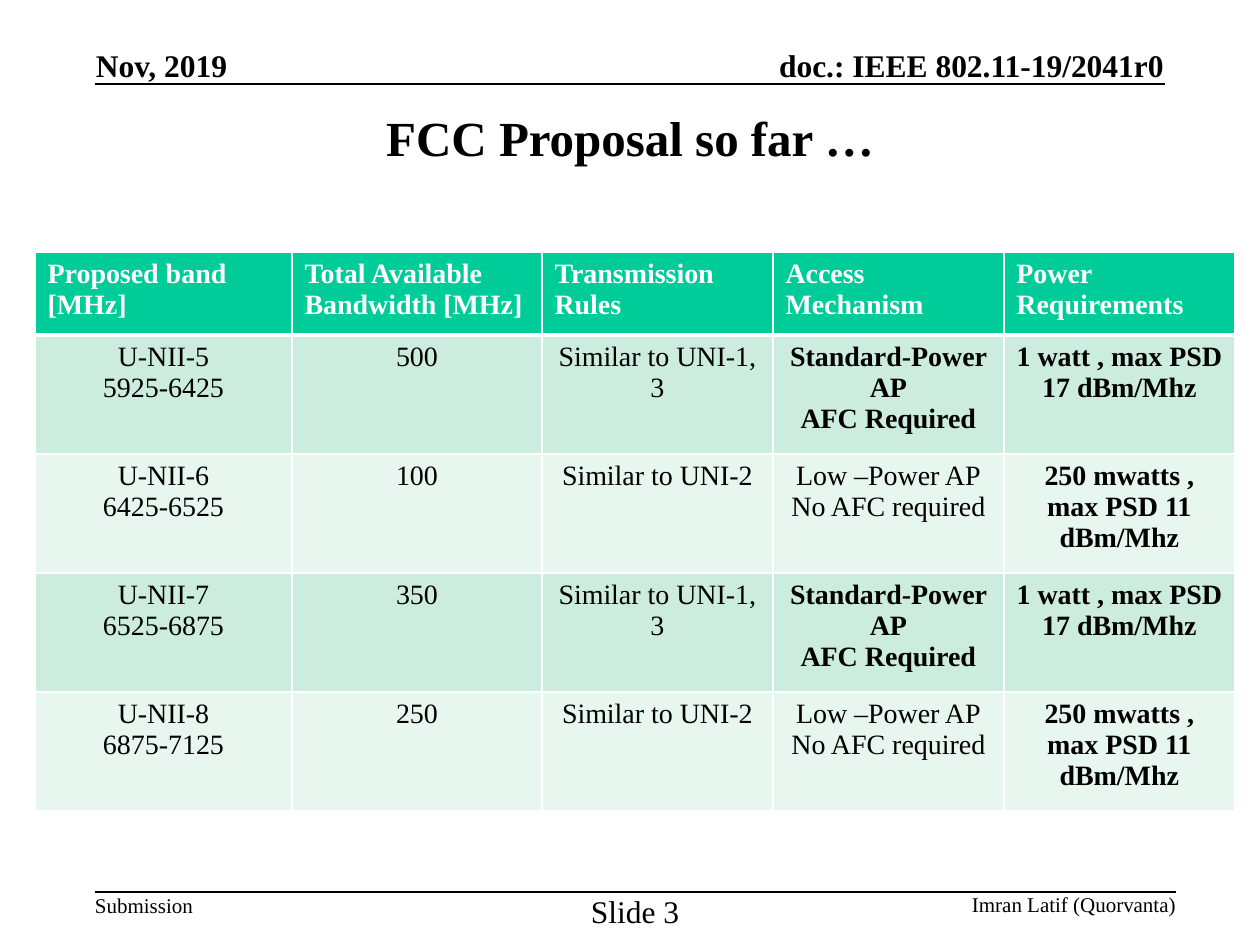
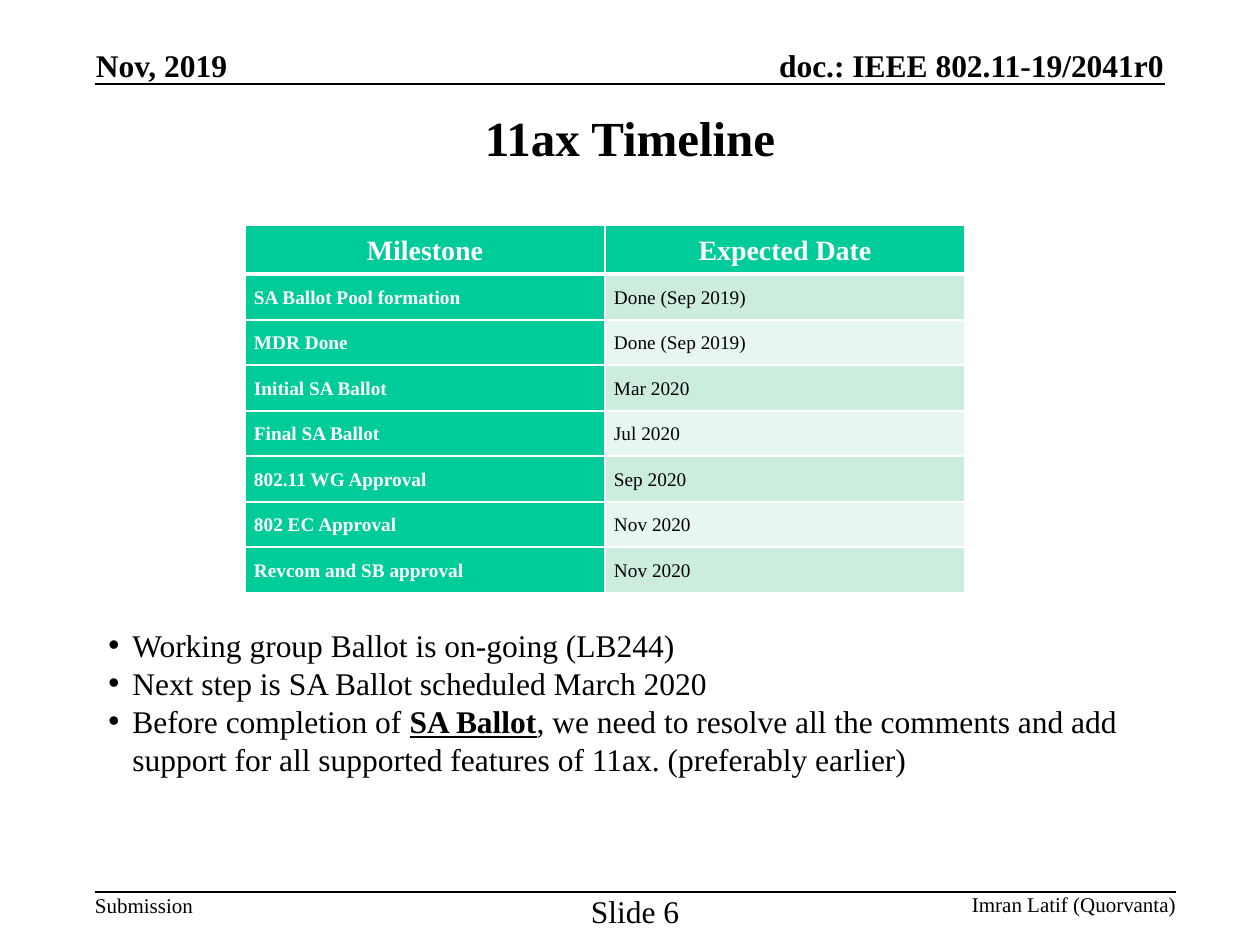
"""Build two IEEE 802.11 submission slides: the FCC band proposal and the 11ax timeline."""
import pptx
import pptx.dml.color
import pptx.enum.shapes
import pptx.enum.text
import pptx.oxml
import pptx.oxml.ns
import pptx.util
from lxml import etree

PX = 914400 / 126
FONT = "Times New Roman"
COLORS = {
    "ink": "000000",
    "paper": "FFFFFF",
    "accent": "00CC99",
    "band_dark": "CCECDE",
    "band_light": "E7F6EF",
}
ALIGN = pptx.enum.text.PP_ALIGN
ANCHOR = pptx.enum.text.MSO_ANCHOR

FCC_HEADINGS = [
    "Proposed band [MHz]", "Total Available Bandwidth [MHz]",
    "Transmission Rules", "Access Mechanism", "Power Requirements",
]
STANDARD_POWER = ["Similar to UNI-1, 3", "Standard-Power AP\nAFC Required",
                  "1 watt , max PSD 17 dBm/Mhz"]
LOW_POWER = ["Similar to UNI-2", "Low –Power AP\nNo AFC required",
             "250 mwatts , max PSD 11 dBm/Mhz"]
FCC_BANDS = [
    ["U-NII-5\n5925-6425", "500", *STANDARD_POWER],
    ["U-NII-6\n6425-6525", "100", *LOW_POWER],
    ["U-NII-7\n6525-6875", "350", *STANDARD_POWER],
    ["U-NII-8\n6875-7125", "250", *LOW_POWER],
]
MILESTONES = [
    ["SA Ballot Pool formation", "Done (Sep 2019)"],
    ["MDR Done", "Done (Sep 2019)"],
    ["Initial SA Ballot", "Mar 2020"],
    ["Final SA Ballot", "Jul 2020"],
    ["802.11 WG Approval", "Sep 2020"],
    ["802 EC Approval", "Nov 2020"],
    ["Revcom and SB approval", "Nov 2020"],
]
STATUS_POINTS = [
    [("Working group Ballot is on-going (LB244)", False)],
    [("Next step is SA Ballot scheduled March 2020", False)],
    [("Before completion of ", False), ("SA Ballot", True),
     (", we need to resolve all the comments and add support for all "
      "supported features of 11ax. (preferably earlier)", False)],
]


def px(length):
    """Turn whole px into EMU."""
    return pptx.util.Emu(round(length * PX))


def rgb(name):
    """Look up a named colour."""
    return pptx.dml.color.RGBColor.from_string(COLORS[name])


def add_run(paragraph, text, size, bold=False, color="ink", underline=False):
    """Append one formatted run."""
    run = paragraph.add_run()
    run.text = text
    run.font.name = FONT
    run.font.size = pptx.util.Pt(size)
    run.font.bold = bold
    run.font.underline = underline
    run.font.color.rgb = rgb(color)


def add_label(slide, box, text, size, bold=False, align=ALIGN.LEFT, anchor=ANCHOR.TOP):
    """Add a one-line text box without insets."""
    frame = slide.shapes.add_textbox(*map(px, box)).text_frame
    frame.margin_left = frame.margin_right = 0
    frame.margin_top = frame.margin_bottom = 0
    frame.vertical_anchor = anchor
    frame.word_wrap = True
    frame.paragraphs[0].alignment = align
    add_run(frame.paragraphs[0], text, size, bold)


def add_rule(slide, left, right, y):
    """Draw a thin horizontal line."""
    rule = slide.shapes.add_connector(
        pptx.enum.shapes.MSO_CONNECTOR.STRAIGHT, px(left), px(y), px(right), px(y))
    rule.line.color.rgb = rgb("ink")
    rule.line.width = pptx.util.Pt(1)
    etree.SubElement(rule._element.spPr, pptx.oxml.ns.qn("a:effectLst"))


def add_submission_slide(deck, title, number):
    """Add a slide with the shared title, header and footer."""
    slide = deck.slides.add_slide(deck.slide_layouts[5])
    heading = slide.shapes.title
    heading.left, heading.top, heading.width, heading.height = map(px, (95, 95, 1070, 84))
    frame = heading.text_frame
    frame.auto_size = pptx.enum.text.MSO_AUTO_SIZE.NONE
    frame.vertical_anchor = ANCHOR.MIDDLE
    frame.paragraphs[0].alignment = ALIGN.CENTER
    add_run(frame.paragraphs[0], title, 28, bold=True)

    add_label(slide, (96, 46, 145, 38), "Nov, 2019", 18, True, anchor=ANCHOR.BOTTOM)
    add_label(slide, (712, 46, 452, 38), "doc.: IEEE 802.11-19/2041r0", 18, True,
              ALIGN.RIGHT, ANCHOR.BOTTOM)
    add_rule(slide, 95, 1165, 84)
    add_rule(slide, 95, 1176, 892)
    add_label(slide, (95, 893, 110, 25), "Submission", 12)
    add_label(slide, (580, 892, 110, 38), f"Slide {number}", 18, align=ALIGN.CENTER)
    add_label(slide, (972, 892, 215, 25), "Imran Latif (Quorvanta)", 12)
    return slide


def set_borders(cell, top, bottom):
    """Give a cell white borders, with the top and bottom widths in points."""
    properties = cell._tc.get_or_add_tcPr()
    for side, width in (("L", 1), ("R", 1), ("T", top), ("B", bottom)):
        properties.append(pptx.oxml.parse_xml(
            f'<a:ln{side} {pptx.oxml.ns.nsdecls("a")} w="{width * 12700}">'
            f'<a:solidFill><a:srgbClr val="{COLORS["paper"]}"/></a:solidFill>'
            f'</a:ln{side}>'))


def add_grid(slide, left, top, widths, heights):
    """Add a table with banded fills, an accent header and white borders."""
    grid = slide.shapes.add_table(
        len(heights), len(widths), px(left), px(top),
        px(sum(widths)), px(sum(heights))).table
    for column, width in zip(grid.columns, widths):
        column.width = px(width)
    for index, (row, height) in enumerate(zip(grid.rows, heights)):
        row.height = px(height)
        band = "accent" if index == 0 else ("band_light", "band_dark")[index % 2]
        for cell in row.cells:
            set_borders(cell, 3 if index == 1 else 1, 3 if index == 0 else 1)
            cell.fill.solid()
            cell.fill.fore_color.rgb = rgb(band)
    return grid


def write_cell(cell, text, size, bold, color, align, spacing=None):
    """Write each line of the text as a paragraph of the cell."""
    frame = cell.text_frame
    for index, line in enumerate(text.split("\n")):
        paragraph = frame.add_paragraph() if index else frame.paragraphs[0]
        paragraph.alignment = align
        paragraph.line_spacing = spacing
        add_run(paragraph, line, size, bold, color)


def add_fcc_table(slide):
    """Add the table of proposed bands."""
    grid = add_grid(slide, 35, 252, [257, 250, 231, 231, 231], [83] + [119] * 4)
    for column, heading in enumerate(FCC_HEADINGS):
        write_cell(grid.cell(0, column), heading, 16, True, "paper", ALIGN.LEFT)
    for row, band in enumerate(FCC_BANDS, 1):
        for column, text in enumerate(band):
            bold = column == 4 or text.startswith("Standard-Power")
            write_cell(grid.cell(row, column), text, 16, bold, "ink", ALIGN.CENTER)


def add_milestone_table(slide):
    """Add the table of milestones and dates."""
    grid = add_grid(slide, 245, 225, [360, 360], [49] + [46, 45] * 3 + [46])
    for cell in grid.iter_cells():
        cell.margin_left = cell.margin_right = px(9)
        cell.margin_top = cell.margin_bottom = 0
        cell.vertical_anchor = ANCHOR.MIDDLE
    for column, heading in enumerate(["Milestone", "Expected Date"]):
        write_cell(grid.cell(0, column), heading, 16, True, "paper", ALIGN.CENTER, 1.07)
    for row, (milestone, date) in enumerate(MILESTONES, 1):
        name_cell = grid.cell(row, 0)
        name_cell.fill.fore_color.rgb = rgb("accent")
        write_cell(name_cell, milestone, 11, True, "paper", ALIGN.LEFT, 1.07)
        write_cell(grid.cell(row, 1), date, 11, False, "ink", ALIGN.LEFT, 1.07)


def add_bullets(slide, box, points):
    """Add a bulleted list whose emphasised runs are bold and underlined."""
    frame = slide.shapes.add_textbox(*map(px, box)).text_frame
    frame.word_wrap = True
    for index, point in enumerate(points):
        paragraph = frame.add_paragraph() if index else frame.paragraphs[0]
        properties = paragraph._p.get_or_add_pPr()
        properties.set("marL", str(px(24)))
        properties.set("indent", str(-px(24)))
        for tag, attribute, value in (("a:buFont", "typeface", "Arial"),
                                      ("a:buChar", "char", "•")):
            etree.SubElement(properties, pptx.oxml.ns.qn(tag)).set(attribute, value)
        for text, emphasised in point:
            add_run(paragraph, text, 18, emphasised, underline=emphasised)


def main():
    """Build and save the deck."""
    deck = pptx.Presentation()
    deck.slide_width, deck.slide_height = px(1260), px(945)

    proposal = add_submission_slide(deck, "FCC Proposal so far …", 3)
    add_fcc_table(proposal)

    timeline = add_submission_slide(deck, "11ax Timeline", 6)
    add_milestone_table(timeline)
    add_bullets(timeline, (96, 620, 1070, 165), STATUS_POINTS)

    deck.save("out.pptx")


if __name__ == "__main__":
    main()
